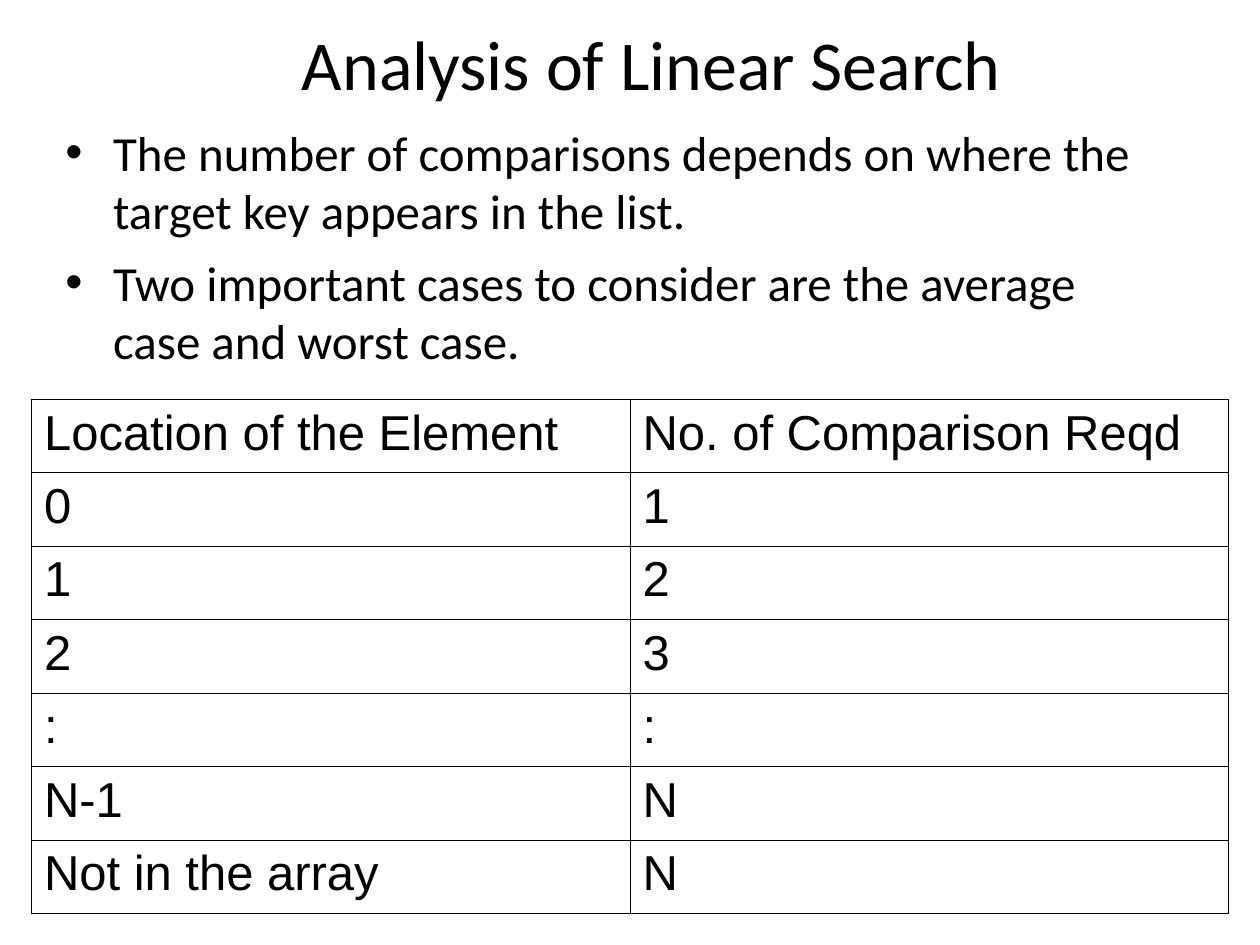
from lxml.etree import SubElement
from pptx import Presentation
from pptx.dml.color import RGBColor
from pptx.enum.text import MSO_ANCHOR as ANCHOR, PP_ALIGN as ALIGN
from pptx.oxml.ns import qn
from pptx.util import Inches, Pt

BULLETS = [
    "The number of comparisons depends on where the target key appears in the list.",
    "Two important cases to consider are the average case and worst case.",
]
COMPARISONS = [
    ("Location of the Element", "No. of Comparison Reqd"),
    ("0", "1"),
    ("1", "2"),
    ("2", "3"),
    (":", ":"),
    ("N-1", "N"),
    ("Not in the array", "N"),
]


def color(value):
    return RGBColor.from_string(value)


def write(p, text, font="Calibri", size=28, ink="000000", align=ALIGN.LEFT, before=0):
    p.alignment = align
    p.space_before = Pt(before)
    r = p.add_run()
    r.text = text
    r.font.name, r.font.size = font, Pt(size)
    r.font.color.rgb = color(ink)


def add_bullet(p, ink, indent):
    pPr = p._p.get_or_add_pPr()
    pPr.set("marL", str(indent))
    pPr.set("indent", str(-indent))
    SubElement(SubElement(pPr, qn("a:buClr")), qn("a:srgbClr"), val=ink)
    SubElement(pPr, qn("a:buFont"), typeface="Arial")
    SubElement(pPr, qn("a:buChar"), char="•")


def add_border(cell, side, ink, width):
    ln = SubElement(cell._tc.get_or_add_tcPr(), qn(f"a:ln{side}"), w=str(Pt(width)))
    SubElement(SubElement(ln, qn("a:solidFill")), qn("a:srgbClr"), val=ink)


class SlideBuilder:
    ink = "000000"
    paper = "FFFFFF"
    body_size = 28
    before = 7
    outer, inner = 1.08, 0.45

    def __init__(self, prs):
        self.s = prs.slides.add_slide(prs.slide_layouts[6])
        self.s.background.fill.solid()
        self.s.background.fill.fore_color.rgb = color(self.paper)

    def text_frame(self, x, y, w, h, anchor=ANCHOR.TOP):
        box = self.s.shapes.add_textbox(Inches(x), Inches(y), Inches(w), Inches(h))
        tf = box.text_frame
        tf.word_wrap = True
        tf.vertical_anchor = anchor
        return tf

    def title(self, text, *area):
        tf = self.text_frame(*area, anchor=ANCHOR.MIDDLE)
        write(tf.paragraphs[0], text, size=40, ink=self.ink, align=ALIGN.CENTER)

    def bullets(self, items, *area):
        tf = self.text_frame(*area)
        for i, item in enumerate(items):
            p = tf.add_paragraph() if i else tf.paragraphs[0]
            write(p, item, size=self.body_size, ink=self.ink, before=self.before)
            add_bullet(p, self.ink, Inches(0.38))

    def table(self, rows, x, y, w, h):
        n_rows, n_cols = len(rows), len(rows[0])
        table = self.s.shapes.add_table(
            n_rows, n_cols, Inches(x), Inches(y), Inches(w), Inches(h)).table
        table.first_row = table.horz_banding = False
        for i, row in enumerate(rows):
            for j, text in enumerate(row):
                cell = table.cell(i, j)
                write(cell.text_frame.paragraphs[0], text, font="Arial",
                      size=self.body_size, ink=self.ink, before=self.before)
                on_edge = {"L": j == 0, "R": j == n_cols - 1,
                           "T": i == 0, "B": i == n_rows - 1}
                for side, is_outer in on_edge.items():
                    add_border(cell, side, self.ink, self.outer if is_outer else self.inner)
                cell.fill.background()


def main():
    prs = Presentation()
    prs.slide_width, prs.slide_height = Inches(10), Inches(7.5)
    slide = SlideBuilder(prs)
    slide.title("Analysis of Linear Search", 0.67, 0.25, 9, 0.5)
    slide.bullets(BULLETS, 0.42, 0.92, 8.83, 2.17)
    slide.table(COMPARISONS, 0.25, 3.17, 9.5, 4.08)
    prs.save("out.pptx")


if __name__ == "__main__":
    main()
